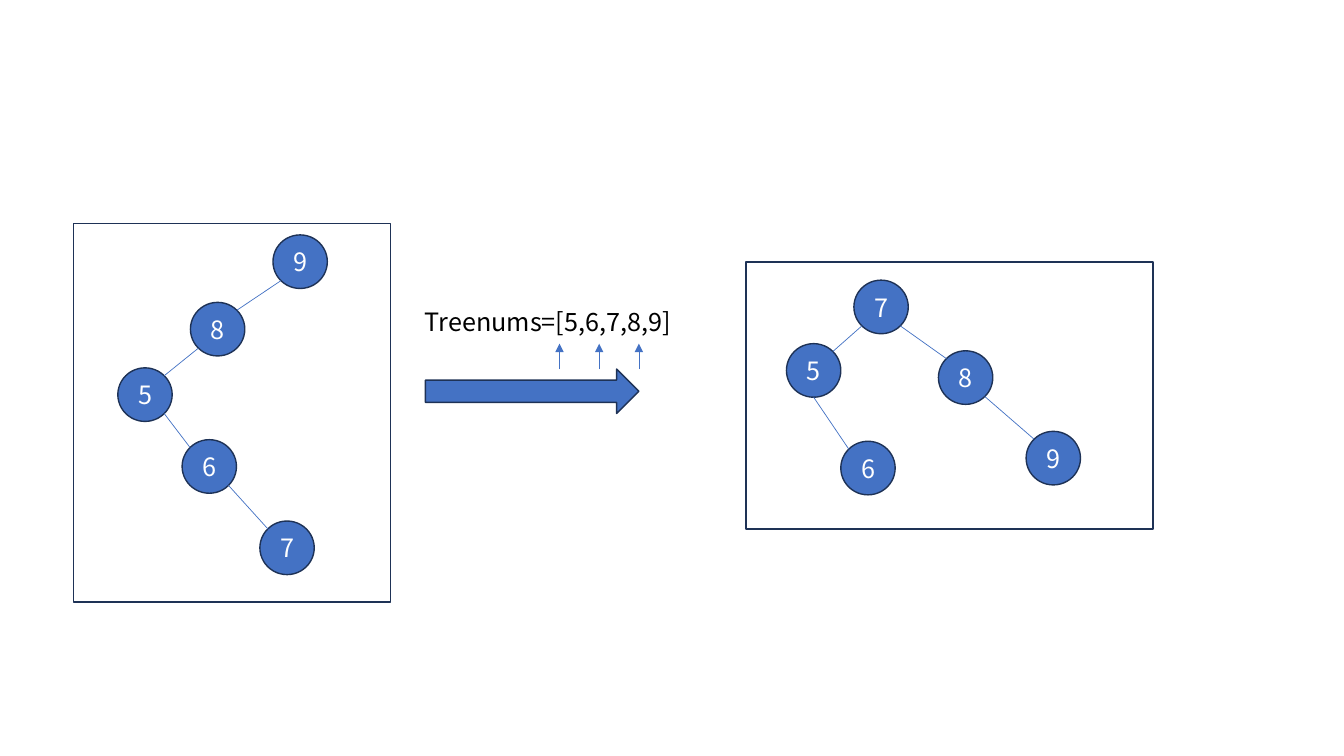
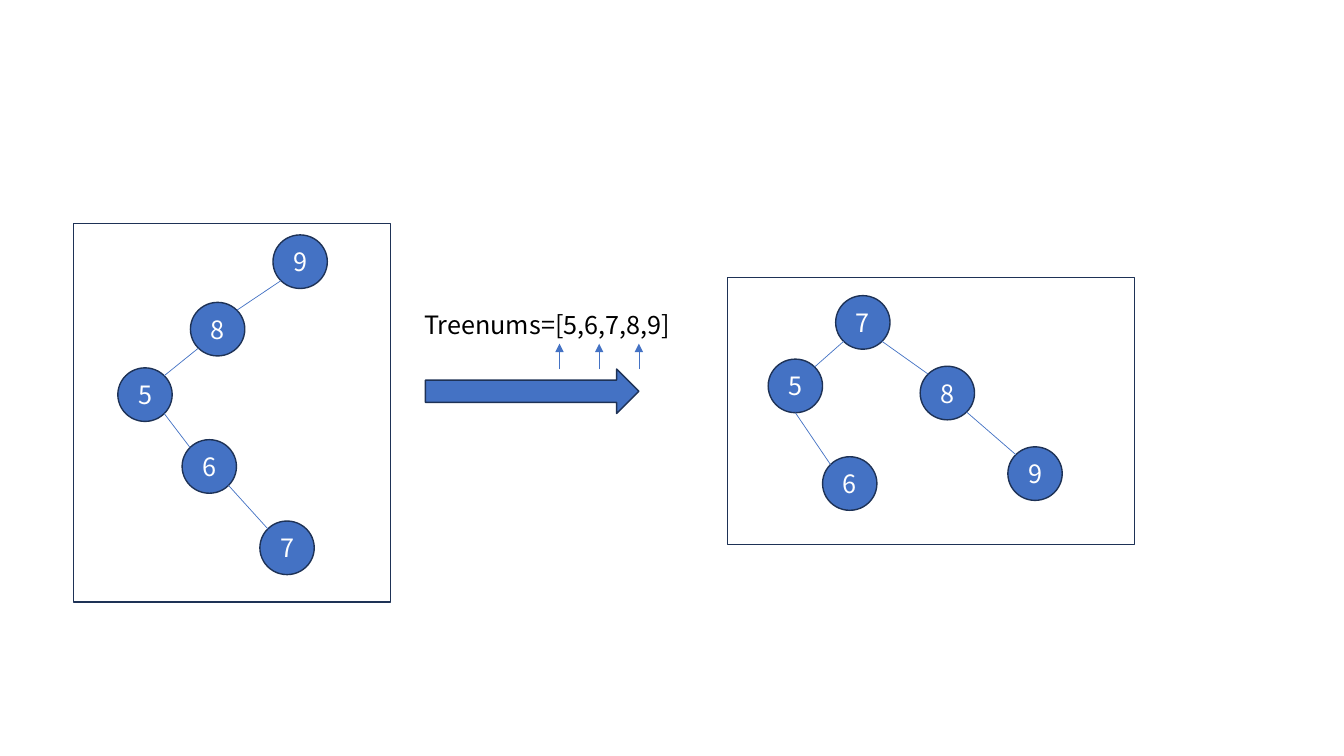
from pptx import Presentation
from pptx.dml.color import RGBColor
from pptx.enum.shapes import MSO_CONNECTOR, MSO_SHAPE
from pptx.enum.text import MSO_ANCHOR, MSO_AUTO_SIZE, PP_ALIGN
from pptx.oxml.ns import qn
from pptx.util import Cm, Pt
from lxml.etree import SubElement
from math import sqrt

hues = {"blue": "4472C4", "navy": "1E3256", "white": "FFFFFF", "black": "000000"}
tones = {name: RGBColor.from_string(code) for name, code in hues.items()}
font = {"name": "Noto Sans CJK SC", "size": Pt(18)}
frame = {
    "node": {"word_wrap": True, "vertical_anchor": MSO_ANCHOR.MIDDLE},
    "list": {"word_wrap": True, "auto_size": MSO_AUTO_SIZE.SHAPE_TO_FIT_TEXT},
}

wide, high = 1.37, 1.35
near, far = 0.5 - sqrt(0.125), 0.5 + sqrt(0.125)
sites = {"TL": (near, near), "TR": (far, near), "BL": (near, far),
         "BR": (far, far), "B": (0.5, 1)}

chain = {
    "size": (8, 9.53),
    "nodes": {"9": (5.03, 0.28), "8": (2.95, 1.98), "5": (1.12, 3.63),
              "6": (2.74, 5.44), "7": (4.7, 7.49)},
    "edges": [("9", "BL", "8", "TR"), ("8", "BL", "5", "TR"),
              ("5", "BR", "6", "TL"), ("6", "BR", "7", "TL")],
}
level = {
    "size": (10.26, 6.73),
    "nodes": {"7": (2.72, 0.46), "5": (1.02, 2.06), "8": (4.85, 2.24),
              "6": (2.39, 4.52), "9": (7.06, 4.27)},
    "edges": [("7", "BL", "5", "TR"), ("5", "B", "6", "TL"),
              ("7", "BR", "8", "TL"), ("8", "BR", "9", "TL")],
}
pages = [
    {"level": (18.8, 6.6), "list": (10.46, 7.59)},
    {"level": (18.34, 6.99), "list": (10.44, 7.67)},
]


def block(kind, box, fill, text="", color="white"):
    left, top, width, height = map(Cm, box)
    if kind:
        shape = slide.shapes.add_shape(kind, left, top, width, height)
        shape.shadow.inherit = False
        shape.fill.solid()
        shape.fill.fore_color.rgb = tones[fill]
        shape.line.color.rgb = tones["navy"]
        shape.line.width = Pt(1)
    else:
        shape = slide.shapes.add_textbox(left, top, width, height)
    if text:
        body = shape.text_frame
        for key, value in frame["node" if kind else "list"].items():
            setattr(body, key, value)
        line = body.paragraphs[0]
        line.alignment = PP_ALIGN.CENTER if kind else PP_ALIGN.LEFT
        run = line.add_run()
        run.text = text
        for key, value in font.items():
            setattr(run.font, key, value)
        run.font.color.rgb = tones[color]


def link(start, end, tip=False):
    line = slide.shapes.add_connector(MSO_CONNECTOR.STRAIGHT, *map(Cm, start + end))
    line.line.color.rgb = tones["blue"]
    line.line.width = Pt(0.5)
    props = line._element.spPr
    if tip:
        SubElement(props.find(qn("a:ln")), qn("a:tailEnd"), type="triangle")
    SubElement(props, qn("a:effectLst"))


deck = Presentation()
deck.slide_width, deck.slide_height = Cm(33.87), Cm(19.05)

for page in pages:
    slide = deck.slides.add_slide(deck.slide_layouts[6])
    for tree, (left, top) in [(chain, (1.85, 5.64)), (level, page["level"])]:
        block(MSO_SHAPE.RECTANGLE, (left, top, *tree["size"]), "white")
        for label, (x, y) in tree["nodes"].items():
            block(MSO_SHAPE.OVAL, (left + x, top + y, wide, high), "blue", label)
        for first, out, second, into in tree["edges"]:
            ends = []
            for label, site in [(first, out), (second, into)]:
                x, y = tree["nodes"][label]
                across, down = sites[site]
                ends.append((left + x + across * wide, top + y + down * high))
            link(*ends)
    block(MSO_SHAPE.RIGHT_ARROW, (10.72, 9.3, 5.38, 1.12), "blue")
    block(None, (*page["list"], 11.25, 1.02), None, "Treenums=[5,6,7,8,9]", "black")
    for step in range(3):
        x = 14.1 + step
        link((x, 9.3), (x, 8.66), tip=True)

deck.save("out.pptx")
